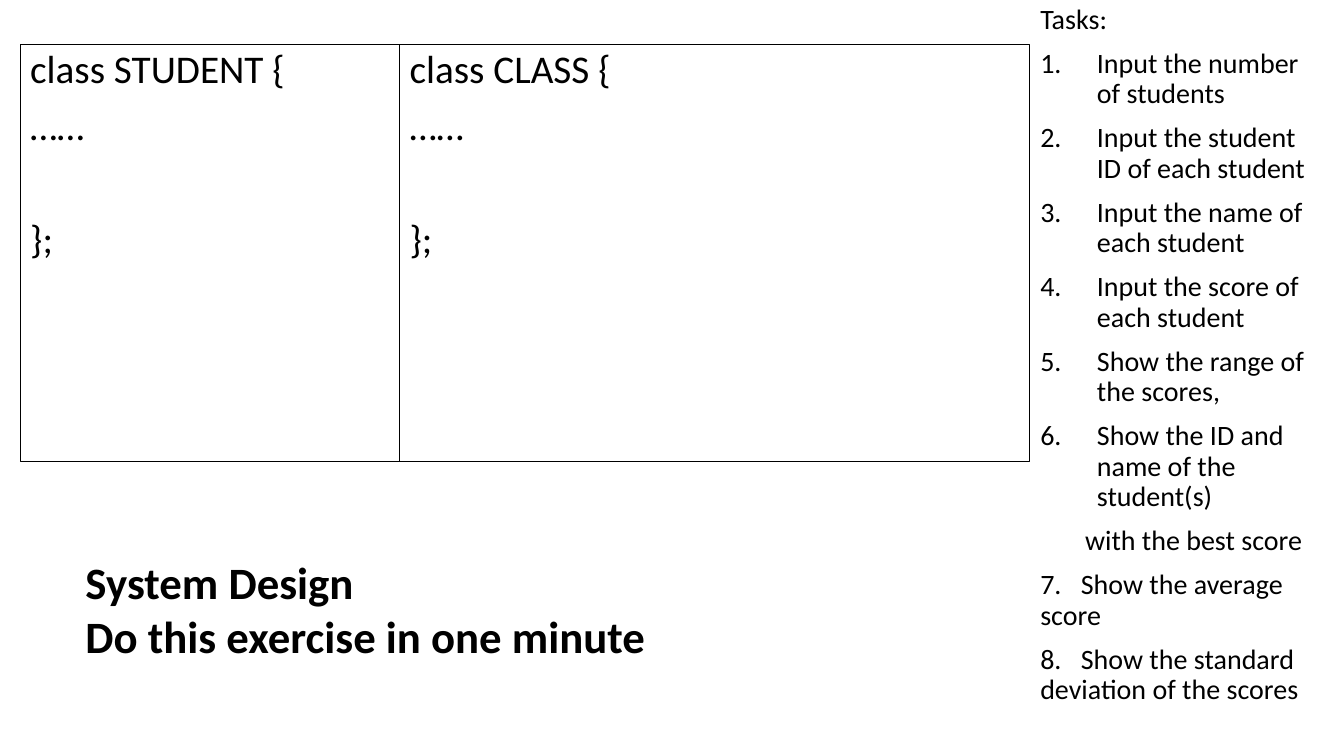
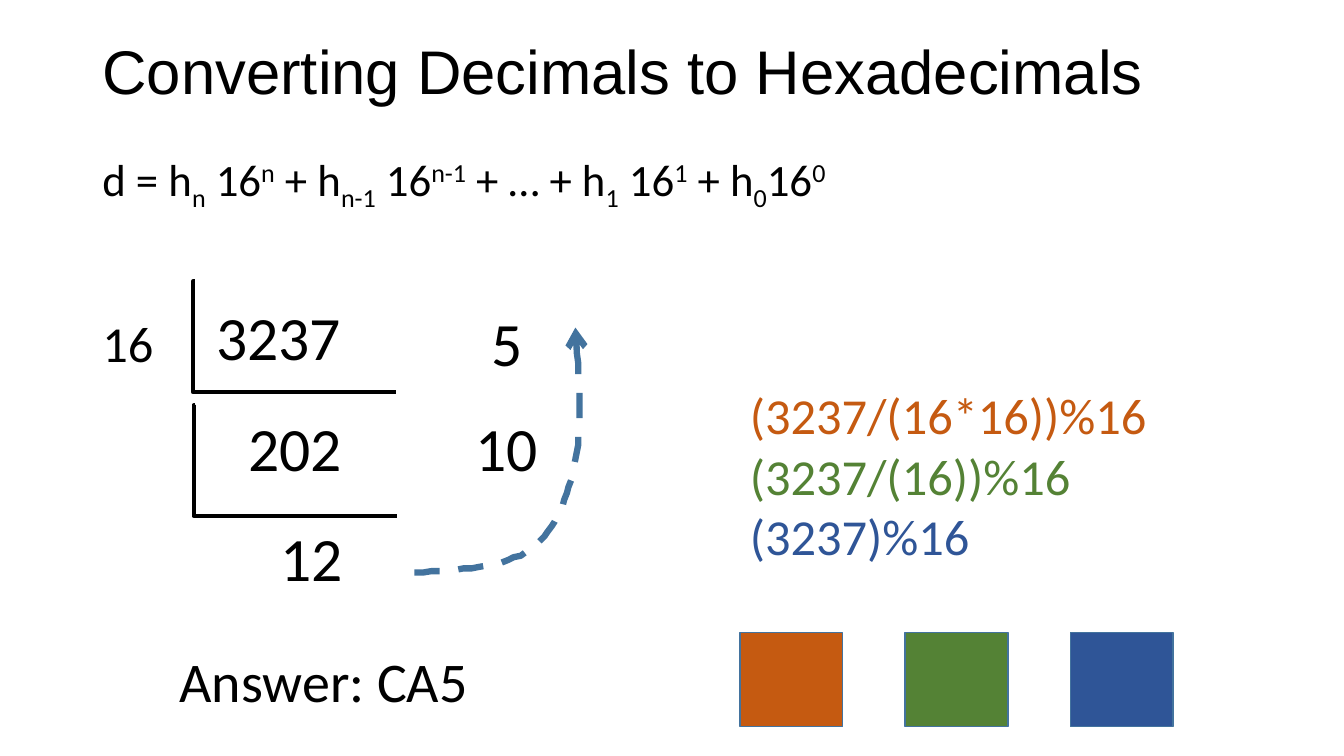
from dataclasses import dataclass
from typing import Optional

from lxml import etree
from pptx import Presentation
from pptx.dml.color import RGBColor
from pptx.enum import dml, shapes, text
from pptx.oxml import ns
from pptx.util import Pt


@dataclass(frozen=True)
class Theme:
    body_font: str = "Calibri"
    title_font: str = "Arial"
    ink: str = "000000"
    accent: str = "43739E"
    orange: str = "C55A11"
    green: str = "548235"
    blue: str = "2F5597"
    tasks: float = 20
    code: float = 28
    formula: float = 32
    expression: float = 36
    answer: float = 40
    figure: float = 44


THEME = Theme()


@dataclass(frozen=True)
class Box:
    left: float
    top: float
    width: float
    height: float

    def lengths(self) -> tuple:
        return Pt(self.left), Pt(self.top), Pt(self.width), Pt(self.height)


@dataclass(frozen=True)
class Piece:
    """A stretch of text, raised or lowered by a percentage."""
    words: str
    baseline: int = 0


@dataclass(frozen=True)
class Line:
    """One paragraph; before overrides the usual space above it."""
    pieces: tuple
    color: Optional[str] = None
    before: Optional[float] = None
    numbered: bool = False
    indent: float = 0
    tab: float = 0


@dataclass(frozen=True)
class Label:
    words: str
    box: Box
    size: float


def line(words: str, **options) -> Line:
    return Line((Piece(words),), **options)


def add_xml(parent, tag: str, **attributes: str):
    child = etree.SubElement(parent, ns.qn(tag))
    for key, value in attributes.items():
        child.set(key, value)
    return child


def write(frame, lines: list, *, size: float, font: str = THEME.body_font,
          color: str = THEME.ink, bold: bool = False, wrap: bool = True,
          spacing: Optional[float] = None, before: float = 0,
          anchor=text.MSO_ANCHOR.TOP) -> None:
    """Fill a text frame with formatted paragraphs."""
    frame.word_wrap = wrap
    frame.auto_size = text.MSO_AUTO_SIZE.NONE
    frame.vertical_anchor = anchor
    for index, item in enumerate(lines):
        paragraph = frame.add_paragraph() if index else frame.paragraphs[0]
        paragraph.alignment = text.PP_ALIGN.LEFT
        if spacing:
            paragraph.line_spacing = spacing
        gap = before if item.before is None else item.before
        paragraph.space_before = Pt(gap if index else 0)
        properties = paragraph._p.get_or_add_pPr()
        if item.numbered:
            properties.set("marL", str(Pt(item.indent)))
            properties.set("indent", str(-Pt(item.indent)))
            add_xml(properties, "a:buFont", typeface="+mj-lt")
            add_xml(properties, "a:buAutoNum", type="arabicPeriod")
        elif item.indent:
            properties.set("marL", "0")
            properties.set("indent", str(Pt(item.indent)))
        if item.tab:
            stops = add_xml(properties, "a:tabLst")
            add_xml(stops, "a:tab", pos=str(Pt(item.tab)), algn="l")
        for piece in item.pieces:
            run = paragraph.add_run()
            run.text = piece.words
            run.font.size = Pt(size)
            run.font.name = font
            run.font.bold = bold
            run.font.color.rgb = RGBColor.from_string(item.color or color)
            if piece.baseline:
                run._r.get_or_add_rPr().set("baseline", str(piece.baseline * 1000))


def add_text(slide, box: Box, lines: list, **formatting) -> None:
    write(slide.shapes.add_textbox(*box.lengths()).text_frame, lines, **formatting)


def set_line(item, color: str, width: float) -> None:
    item.line.color.rgb = RGBColor.from_string(color)
    item.line.width = Pt(width)


def add_rectangle(slide, box: Box, edge: str, width: float, fill: Optional[str] = None):
    rectangle = slide.shapes.add_shape(shapes.MSO_SHAPE.RECTANGLE, *box.lengths())
    rectangle.shadow.inherit = False
    if fill:
        rectangle.fill.solid()
        rectangle.fill.fore_color.rgb = RGBColor.from_string(fill)
    else:
        rectangle.fill.background()
    set_line(rectangle, edge, width)
    return rectangle


def add_division_bracket(slide, left: float, top: float) -> None:
    """Draw the L-shaped rule left of and below a dividend."""
    bracket = slide.shapes.add_connector(
        shapes.MSO_CONNECTOR.ELBOW, Pt(left), Pt(top), Pt(left + 144), Pt(top + 79))
    set_line(bracket, THEME.ink, 3)
    properties = bracket._element.spPr
    adjustments = properties.find(ns.qn("a:prstGeom")).find(ns.qn("a:avLst"))
    add_xml(adjustments, "a:gd", name="adj1", fmla="val -800")
    add_xml(properties, "a:effectLst")


def bezier(points: tuple, t: float) -> tuple:
    weights = ((1 - t) ** 3, 3 * t * (1 - t) ** 2, 3 * t ** 2 * (1 - t), t ** 3)
    return tuple(sum(w * p[axis] for w, p in zip(weights, points)) for axis in (0, 1))


def add_reading_arrow(slide) -> None:
    """Draw the dashed curve from the last quotient up the remainders."""
    steps = 16
    curve = [(296, 409), (328, 407), (360, 405.5), (379.5, 392), (398, 378),
             (405.5, 355), (411, 328.5), (416, 302), (413.5, 267), (411, 233.5)]
    track = [bezier(tuple(curve[start:start + 4]), step / steps)
             for start in range(0, len(curve) - 1, 3) for step in range(1, steps + 1)]
    builder = slide.shapes.build_freeform(*curve[0], scale=Pt(1))
    builder.add_line_segments(track, close=False)
    arrow = builder.convert_to_shape()
    arrow.shadow.inherit = False
    arrow.fill.background()
    set_line(arrow, THEME.accent, 4.5)
    arrow.line.dash_style = dml.MSO_LINE.DASH
    add_xml(arrow.line._get_or_add_ln(), "a:tailEnd", type="arrow")


def build_system_design(deck) -> None:
    slide = deck.slides.add_slide(deck.slide_layouts[6])

    # Class outlines, side by side
    left = 14.5
    for name, width in (("STUDENT", 271), ("CLASS", 450)):
        outline = add_rectangle(slide, Box(left, 32, width, 298), THEME.ink, 0.75)
        code = [line(f"class {name} {{"), line("……"), line("};", before=50.8)]
        write(outline.text_frame, code, size=THEME.code, spacing=0.9, before=10)
        left += width

    # Task list
    numbered = ("Input the number of students", "Input the student ID of each student",
                "Input the name of each student", "Input the score of each student",
                "Show the range of the scores,", "Show the ID and name of the student(s)")
    tasks = [line("Tasks:"),
             *(line(task, numbered=True, indent=40.5) for task in numbered),
             line("with the best score", indent=32),
             line("7.\tShow the average score", tab=29),
             line("8.\tShow the standard deviation of the scores", tab=29)]
    add_text(slide, Box(736, 0, 210, 302), tasks, size=THEME.tasks,
             spacing=0.9, before=10)

    # Exercise heading
    add_text(slide, Box(54, 393, 418, 85),
             [line("System Design"), line("Do this exercise in one minute")],
             size=THEME.formula, bold=True, wrap=False)


def build_hexadecimals(deck) -> None:
    slide = deck.slides.add_slide(deck.slide_layouts[5])

    # Title
    title = slide.shapes.title
    title.left, title.top, title.width, title.height = Box(66, 1, 828, 104).lengths()
    write(title.text_frame, [line("Converting Decimals to Hexadecimals")],
          size=THEME.figure, font=THEME.title_font, spacing=0.9,
          anchor=text.MSO_ANCHOR.MIDDLE)

    # Positional formula
    formula = [Piece("d = ")]
    for lead, index, base, power in (("h", "n", " 16", "n"), (" + h", "n-1", " 16", "n-1"),
                                     (" + … + h", "1", " 16", "1"),
                                     (" + h", "0", "16", "0")):
        formula += [Piece(lead), Piece(index, -25), Piece(base), Piece(power, 30)]
    add_text(slide, Box(66, 104.5, 664, 46), [Line(tuple(formula))], size=THEME.formula)

    # Repeated division
    for left, top in ((139, 201), (139.5, 289.5)):
        add_division_bracket(slide, left, top)
    labels = (Label("16", Box(66, 219.5, 51, 51), THEME.expression),
              Label("3237", Box(147.5, 210, 104.5, 60.5), THEME.figure),
              Label("202", Box(170.5, 289.5, 82, 60.5), THEME.figure),
              Label("12", Box(193, 368, 60, 60.5), THEME.figure),
              Label("5", Box(344, 214.5, 37, 60.5), THEME.figure),
              Label("10", Box(332.5, 289.5, 60, 60.5), THEME.figure),
              Label("Answer: CA5", Box(121, 458.5, 222.5, 55.5), THEME.answer))
    for label in labels:
        add_text(slide, label.box, [line(label.words)], size=label.size, wrap=False)
    add_reading_arrow(slide)

    # Digit expressions and their colour squares
    digits = (("(3237/(16*16))%16", THEME.orange), ("(3237/(16))%16", THEME.green),
              ("(3237)%16", THEME.blue))
    add_text(slide, Box(528.5, 271, 416, 138),
             [line(words, color=color) for words, color in digits], size=THEME.expression)
    for index, (_, color) in enumerate(digits):
        add_rectangle(slide, Box(528.5 + 118 * index, 452, 73.5, 67),
                      THEME.accent, 1, color)


def main() -> None:
    deck = Presentation()
    deck.slide_width, deck.slide_height = Pt(960), Pt(540)
    build_system_design(deck)
    build_hexadecimals(deck)
    deck.save("out.pptx")


if __name__ == "__main__":
    main()
